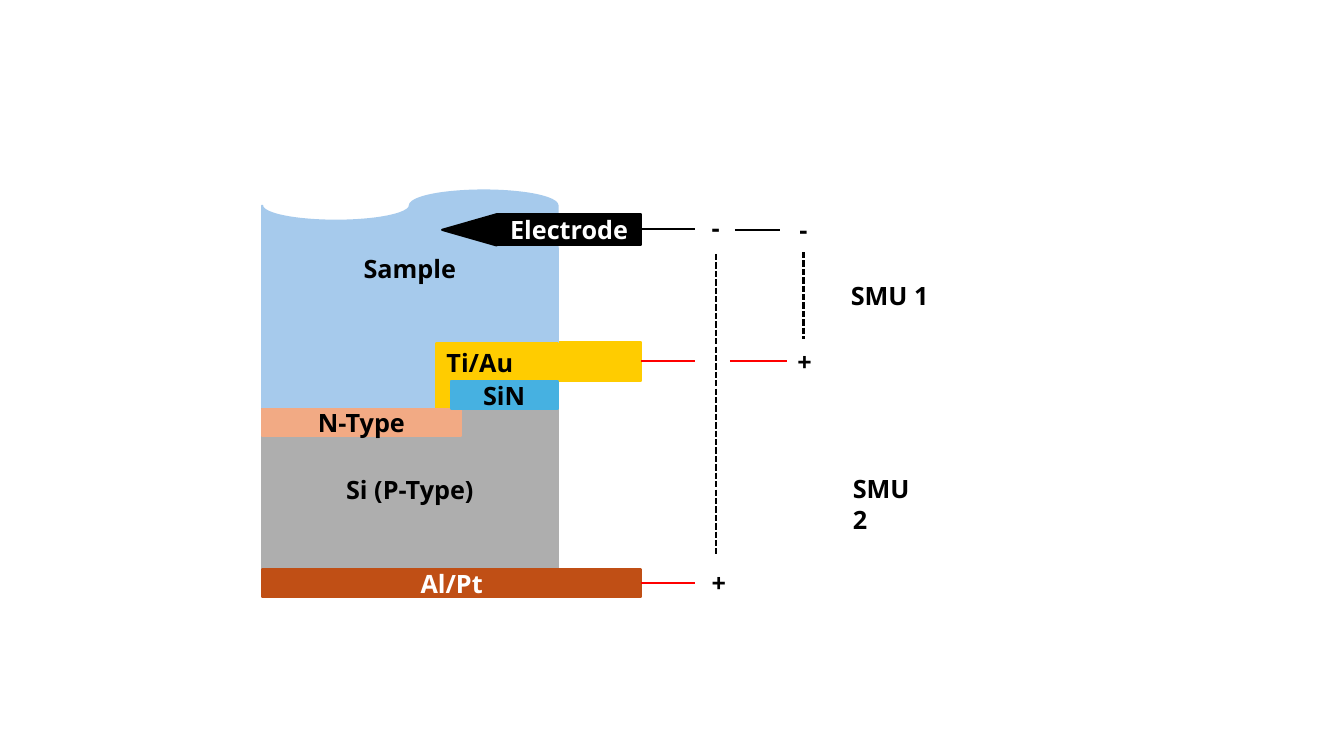
"""Draw the layered sample with its electrodes and source-measure wiring."""
import pptx
import pptx.dml.color
import pptx.enum.dml
import pptx.enum.shapes
import pptx.enum.text
import pptx.oxml
import pptx.oxml.ns
import pptx.util

FONT = "Noto Sans"
COLORS = {
    "black": "000000", "white": "FFFFFF", "red": "FF0000", "gold": "FFCC00",
    "sample": "A6CAEC", "silicon": "AEAEAE", "back": "C04F15",
    "well": "F2AA84", "nitride": "46B1E1",
}
COLUMNS = {
    "stack": 2.6, "contact": 4.33, "nitride": 4.47, "well end": 4.57,
    "probe": 4.93, "edge": 5.53, "lead": 6.36, "lead end": 6.89,
    "inner": 7.1, "outer": 7.97,
}
ROWS = {
    "wave": 1.89, "probe": 2.12, "probe end": 2.43, "sample": 2.46,
    "pad": 3.39, "contact": 3.4, "nitride": 3.78, "silicon": 4.06,
    "well end": 4.33, "back": 5.65, "back end": 5.92,
}
KINDS = pptx.enum.shapes.MSO_SHAPE
ALIGN = pptx.enum.text.PP_ALIGN
ANCHOR = pptx.enum.text.MSO_ANCHOR
inches = pptx.util.Inches


def color(name):
    """Return a named palette colour."""
    return pptx.dml.color.RGBColor.from_string(COLORS[name])


def write(shape, text, ink="black", align=ALIGN.LEFT):
    """Put one bold run of text in a shape."""
    para = shape.text_frame.paragraphs[0]
    para.alignment = align
    span = para.add_run()
    span.text = text
    span.font.name = FONT
    span.font.size = pptx.util.Pt(18)
    span.font.bold = True
    span.font.color.rgb = color(ink)


def add_solid(page, kind, left, top, width, height, fill):
    """Add a preset shape with fill and outline of one colour."""
    shape = page.shapes.add_shape(kind, *map(inches, (left, top, width, height)))
    shape.shadow.inherit = False
    shape.fill.solid()
    shape.fill.fore_color.rgb = color(fill)
    shape.line.color.rgb = color(fill)
    shape.line.width = pptx.util.Pt(1.5)
    return shape


def add_layer(page, left, top, right, bottom, fill, text="", ink="black",
              align=ALIGN.CENTER, anchor=ANCHOR.MIDDLE, kind=KINDS.RECTANGLE):
    """Add a layer between named grid columns and rows."""
    x, y = COLUMNS[left], ROWS[top]
    shape = add_solid(page, kind, x, y, COLUMNS[right] - x, ROWS[bottom] - y, fill)
    if text:
        shape.text_frame.vertical_anchor = anchor
        write(shape, text, ink, align)
    return shape


def add_label(page, text, left, top, width, wrap=False):
    """Add a free-standing label."""
    box = page.shapes.add_textbox(*map(inches, (left, top, width, 0.4)))
    box.text_frame.word_wrap = wrap
    box.text_frame.auto_size = pptx.enum.text.MSO_AUTO_SIZE.SHAPE_TO_FIT_TEXT
    write(box, text)


def add_wire(page, start, end, ink="black", dashed=False):
    """Add a straight wire between two points."""
    wire = page.shapes.add_connector(
        pptx.enum.shapes.MSO_CONNECTOR.STRAIGHT, *map(inches, start + end))
    wire.line.color.rgb = color(ink)
    wire.line.width = pptx.util.Pt(1.5)
    if dashed:
        wire.line.dash_style = pptx.enum.dml.MSO_LINE.SQUARE_DOT
    effects = pptx.oxml.parse_xml(
        "<a:effectLst %s/>" % pptx.oxml.ns.nsdecls("a"))
    wire.element.spPr.append(effects)
    return wire


def add_lead(page, layer, ink):
    """Run a wire out of the middle of a layer's right side."""
    y = (layer.top + layer.height / 2) / inches(1)
    wire = add_wire(page, (COLUMNS["lead"], y), (COLUMNS["lead end"], y), ink)
    wire.begin_connect(layer, 3)


def add_stack(page):
    """Draw the layers and return those that carry leads."""
    pad = add_layer(page, "edge", "pad", "lead", "nitride", "gold")
    add_layer(page, "stack", "wave", "edge", "pad", "sample",
              kind=KINDS.FLOWCHART_PUNCHED_TAPE)
    add_layer(page, "stack", "sample", "edge", "silicon", "sample", "Sample",
              anchor=ANCHOR.TOP)
    add_layer(page, "contact", "contact", "edge", "silicon", "gold", "Ti/Au",
              align=ALIGN.LEFT, anchor=ANCHOR.TOP)
    add_layer(page, "stack", "silicon", "edge", "back", "silicon", "Si (P-Type)")
    back = add_layer(page, "stack", "back", "lead", "back end", "back",
                     "Al/Pt", "white")
    add_layer(page, "stack", "silicon", "well end", "well end", "well", "N-Type")
    add_layer(page, "nitride", "nitride", "edge", "silicon", "nitride", "SiN")
    probe = add_layer(page, "probe", "probe", "lead", "probe end", "black",
                      "Electrode", "white")
    tip = add_solid(page, KINDS.ISOSCELES_TRIANGLE, 4.5, 2.01, 0.31, 0.54, "black")
    tip.rotation = 270
    return probe, pad, back


def main():
    """Build and save the slide."""
    deck = pptx.Presentation()
    deck.slide_width, deck.slide_height = inches(13.33), inches(7.5)
    page = deck.slides.add_slide(deck.slide_layouts[6])
    for layer, ink in zip(add_stack(page), ("black", "red", "red")):
        add_lead(page, layer, ink)
    add_wire(page, (7.29, 2.28), (7.74, 2.28))
    add_wire(page, (7.24, 3.58), (7.81, 3.58), "red")
    for column, top, bottom in (("outer", 2.5, 3.36), ("inner", 2.52, 5.5)):
        x = COLUMNS[column]
        add_wire(page, (x, top), (x, bottom), dashed=True)
    for sign, left, top, width in (
            ("-", 6.96, 2.06, 0.29), ("+", 6.96, 5.58, 0.34),
            ("-", 7.83, 2.08, 0.29), ("+", 7.81, 3.39, 0.34)):
        add_label(page, sign, left, top, width)
    add_label(page, "SMU 1", 8.34, 2.73, 0.97)
    add_label(page, "SMU 2", 8.36, 4.65, 0.92, wrap=True)
    deck.save("out.pptx")


if __name__ == "__main__":
    main()
